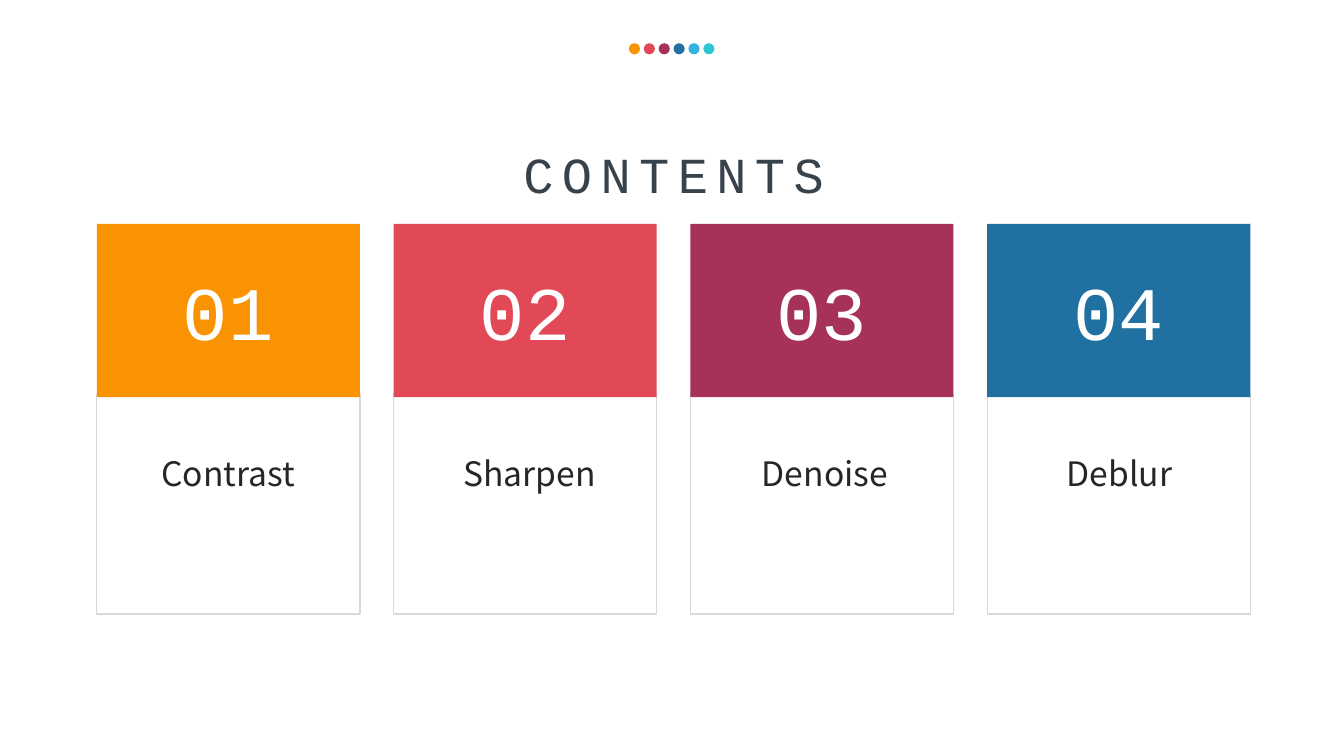
from pptx import Presentation
from pptx.dml.color import RGBColor as RGB
from pptx.enum.shapes import MSO_SHAPE as Shape
from pptx.enum.text import MSO_ANCHOR as Anchor, PP_ALIGN as Align
from pptx.util import Cm, Pt

COLORS = {
    "orange": "F99302", "red": "E14956", "plum": "A6315B",
    "blue": "2070A1", "sky": "34B2E4", "teal": "2CC6D2",
    "edge": "D9D9D9", "title": "38424B", "label": "262626", "white": "FFFFFF",
}
DOTS = ["orange", "red", "plum", "blue", "sky", "teal"]
# Topic, header color, label left and label top in cm
CARDS = [
    ("Contrast", "orange", 2.97, 11.3),
    ("Sharpen", "red", 10.57, 11.28),
    ("Denoise", "plum", 18.01, 11.28),
    ("Deblur", "blue", 25.43, 11.28),
]
FORMATS = {
    "title": {"name": "Courier New", "size": Pt(36)},
    "number": {"name": "Courier New", "size": Pt(54)},
    "label": {"name": "Noto Sans CJK SC", "size": Pt(24)},
}
LEFT, PITCH, WIDTH = 2.44, 7.48, 6.63


def rgb(name):
    return RGB.from_string(COLORS[name])


def write(shape, text, style, color):
    """Put one centred, formatted run in the shape and return it."""
    para = shape.text_frame.paragraphs[0]
    para.alignment = Align.CENTER
    run = para.add_run()
    run.text = text
    for key, value in FORMATS[style].items():
        setattr(run.font, key, value)
    run.font.color.rgb = rgb(color)
    return run


def add_form(shapes, kind, box, fill=None, line=None):
    form = shapes.add_shape(kind, *map(Cm, box))
    form.shadow.inherit = False
    if fill:
        form.fill.solid()
        form.fill.fore_color.rgb = rgb(fill)
    else:
        form.fill.background()
    if line:
        form.line.color.rgb = rgb(line)
        form.line.width = Pt(1)
    else:
        form.line.fill.background()
    return form


def add_text(shapes, box, text, style, color, wrap=True):
    area = shapes.add_textbox(*map(Cm, box))
    area.text_frame.word_wrap = wrap
    return write(area, text, style, color)


def add_dots(shapes):
    group = shapes.add_group_shape()
    for i, color in enumerate(DOTS):
        add_form(group.shapes, Shape.OVAL, (15.85 + i * 0.375, 1.09, 0.28, 0.28), color)


def add_card(shapes, i, topic, color, left, top):
    x = LEFT + i * PITCH
    add_form(shapes, Shape.RECTANGLE, (x, 9.93, WIDTH, 5.54), line="edge")
    head = add_form(shapes, Shape.RECTANGLE, (x, 5.64, WIDTH, 4.37), color)
    head.text_frame.vertical_anchor = Anchor.MIDDLE
    write(head, f"{i + 1:02}", "number", "white")
    add_text(shapes, (left, top, 5.56, 1.27), topic, "label", "label")


def main():
    deck = Presentation()
    deck.slide_width, deck.slide_height = Cm(33.87), Cm(19.05)
    shapes = deck.slides.add_slide(deck.slide_layouts[6]).shapes

    title = add_text(shapes, (12.6, 3.48, 8.76, 1.8), "CONTENTS", "title", "title", wrap=False)
    title._r.get_or_add_rPr().set("spc", "600")
    add_dots(shapes)
    for i, card in enumerate(CARDS):
        add_card(shapes, i, *card)

    deck.save("out.pptx")


if __name__ == "__main__":
    main()
